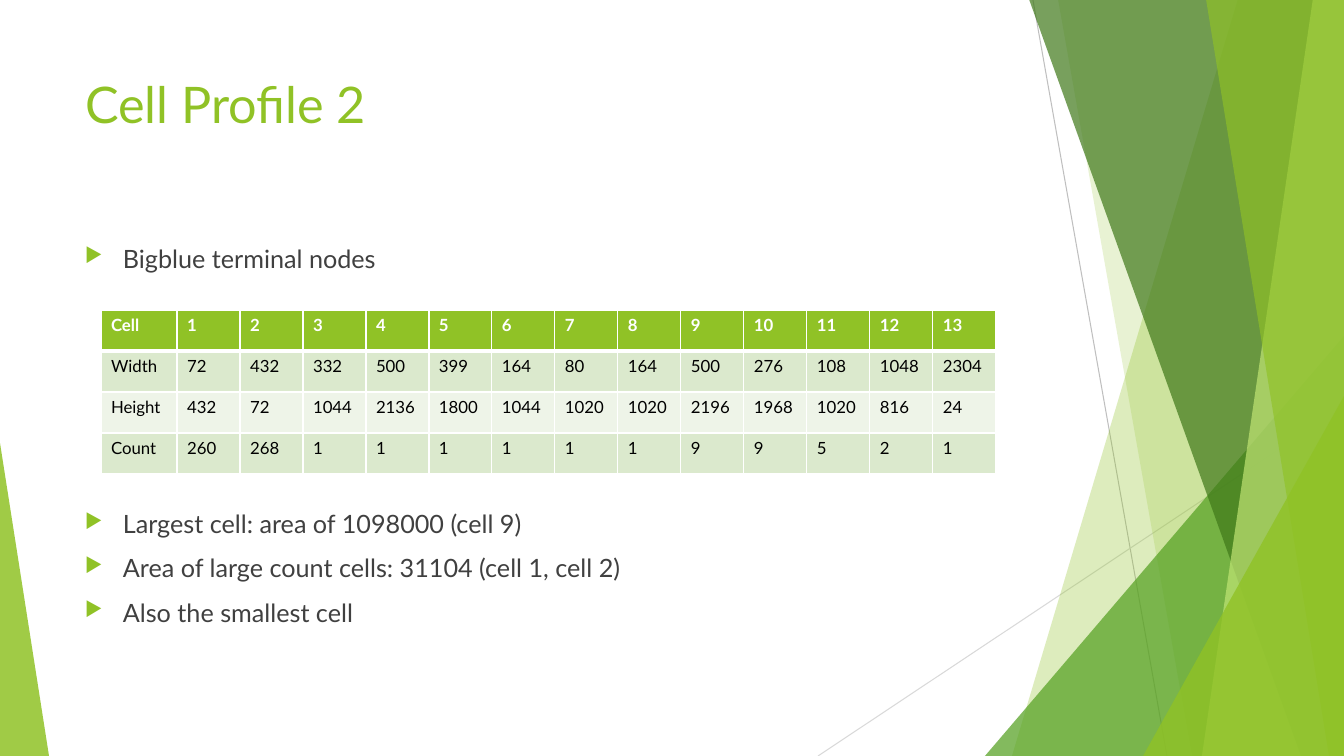
from pptx import Presentation
from pptx.dml.color import RGBColor
from pptx.enum.shapes import MSO_CONNECTOR as Connector, MSO_SHAPE as Preset
from pptx.enum.text import MSO_ANCHOR as Anchor, MSO_AUTO_SIZE as AutoSize, PP_ALIGN as Align
from pptx.oxml.ns import qn
from pptx.util import Emu, Pt
from lxml.etree import SubElement

SLIDE_W, SLIDE_H = 1344, 756
EMU_PER_PX = 12192000 / SLIDE_W
FONT = "Lato"
COLORS = {
    "lime": "90C226", "green": "54A021", "forest": "3F7819", "pale": "C0E474",
    "white": "FFFFFF", "black": "000000", "body": "404040",
    "band_dark": "DBE9CD", "band_light": "EEF4E8",
    "line_dark": "BFBFBF", "line_light": "D9D9D9",
}


def px(length):
    return Emu(round(length * EMU_PER_PX))


def rgb(color):
    return RGBColor.from_string(COLORS[color])


class SlideBuilder:
    def __init__(self, slide, font):
        self.slide, self.shapes, self.font = slide, slide.shapes, font

    def run(self, paragraph, text, size, color, bold=False):
        run = paragraph.add_run()
        run.text = text
        run.font.name, run.font.size, run.font.bold = self.font, Pt(size), bold
        run.font.color.rgb = rgb(color)

    def title(self, text, box, size, color):
        heading = self.shapes.title
        heading.left, heading.top, heading.width, heading.height = map(px, box)
        frame = heading.text_frame
        frame.auto_size, frame.vertical_anchor = AutoSize.NONE, Anchor.TOP
        frame.paragraphs[0].alignment = Align.LEFT
        self.run(frame.paragraphs[0], text, size, color)

    def line(self, start, end, color):
        line = self.shapes.add_connector(Connector.STRAIGHT, *map(px, start + end))
        line.line.color.rgb, line.line.width = rgb(color), Pt(0.75)
        SubElement(line.element.spPr, qn("a:effectLst"))

    def paint(self, shape, color, opacity):
        shape.shadow.inherit = False
        shape.line.fill.background()
        shape.fill.solid()
        shape.fill.fore_color.rgb = rgb(color)
        fill_color = shape.element.spPr.find(".//" + qn("a:srgbClr"))
        SubElement(fill_color, qn("a:alpha"), val=str(opacity * 1000))

    def shard(self, top_x, bottom_x, color, opacity):
        """Blade between a slanted left edge and the right side of the slide."""
        outline = self.shapes.build_freeform(top_x, -1, scale=EMU_PER_PX)
        outline.add_line_segments(
            [(SLIDE_W, -1), (SLIDE_W, SLIDE_H), (bottom_x, SLIDE_H)], close=True)
        self.paint(outline.convert_to_shape(), color, opacity)

    def triangle(self, box, apex, color, opacity):
        triangle = self.shapes.add_shape(Preset.ISOSCELES_TRIANGLE, *map(px, box))
        triangle.adjustments[0] = apex
        self.paint(triangle, color, opacity)

    def bullets(self, items, box, size, color, bullet_color):
        frame = self.shapes.add_textbox(*map(px, box)).text_frame
        frame.word_wrap = True
        for i, (text, space_before) in enumerate(items):
            paragraph = frame.add_paragraph() if i else frame.paragraphs[0]
            paragraph.space_before = Pt(space_before)
            props = paragraph._p.get_or_add_pPr()
            props.set("marL", str(px(38)))
            props.set("indent", str(-px(38)))
            bullet = SubElement(props, qn("a:buClr"))
            SubElement(bullet, qn("a:srgbClr"), val=COLORS[bullet_color])
            SubElement(props, qn("a:buSzPct"), val="80000")
            SubElement(props, qn("a:buChar"), char="▶")
            self.run(paragraph, text, size, color)

    def borders(self, cell, color, widths):
        props = cell._tc.get_or_add_tcPr()
        for side, width in zip("LRTB", widths):
            edge = SubElement(props, qn("a:ln" + side), w=str(Pt(width)))
            fill = SubElement(edge, qn("a:solidFill"))
            SubElement(fill, qn("a:srgbClr"), val=COLORS[color])

    def table(self, rows, left, top, col_widths, row_height, size):
        table = self.shapes.add_table(
            len(rows), len(col_widths), px(left), px(top),
            px(sum(col_widths)), px(row_height * len(rows))).table
        table.horz_banding = False
        for column, width in zip(table.columns, col_widths):
            column.width = px(width)
        for r, values in enumerate(rows):
            table.rows[r].height = px(row_height)
            header = r == 0
            band = "lime" if header else "band_dark" if r % 2 else "band_light"
            for c, value in enumerate(values):
                cell = table.cell(r, c)
                self.borders(cell, "white", (1, 1, 3 if r == 1 else 1, 3 if header else 1))
                cell.fill.solid()
                cell.fill.fore_color.rgb = rgb(band)
                self.run(cell.text_frame.paragraphs[0], str(value), size,
                         "white" if header else "black", header)


def main():
    deck = Presentation()
    deck.slide_width, deck.slide_height = px(SLIDE_W), px(SLIDE_H)
    page = SlideBuilder(deck.slides.add_slide(deck.slide_layouts[5]), FONT)

    # Faceted backdrop, back to front
    page.line((1033, 0), (1167, 756), "line_dark")
    page.line((1344, 406), (818, 756), "line_light")
    page.shard(1238, 1012, "lime", 30)
    page.shard(1058, 1192, "lime", 20)
    page.triangle((985, 336, 359, 420), 1, "green", 72)
    page.shard(1029, 1301, "forest", 70)
    page.shard(1313, 1202, "pale", 70)
    page.shard(1206, 1329, "lime", 65)
    page.triangle((1143, 396, 201, 360), 1, "lime", 80)
    page.triangle((0, 443, 49, 313), 0, "lime", 85)

    # Title and findings, with room for the table after the first bullet
    page.title("Cell Profile 2", (75, 68, 948, 145), 36, "lime")
    findings = [
        ("Bigblue terminal nodes", 10),
        ("Largest cell: area of 1098000 (cell 9)", 168),
        ("Area of large count cells: 31104 (cell 1, cell 2)", 10),
        ("Also the smallest cell", 10),
    ]
    page.bullets(findings, (75, 238, 948, 427), 18, "body", "lime")

    # Cell dimensions and counts
    cell_rows = [
        ["Cell", *range(1, 14)],
        ["Width", 72, 432, 332, 500, 399, 164, 80, 164, 500, 276, 108, 1048, 2304],
        ["Height", 432, 72, 1044, 2136, 1800, 1044, 1020, 1020, 2196, 1968, 1020, 816, 24],
        ["Count", 260, 268, 1, 1, 1, 1, 1, 1, 9, 9, 5, 2, 1],
    ]
    page.table(cell_rows, 101, 310, [76] + [63] * 13, 41, 12)

    deck.save("out.pptx")


if __name__ == "__main__":
    main()
